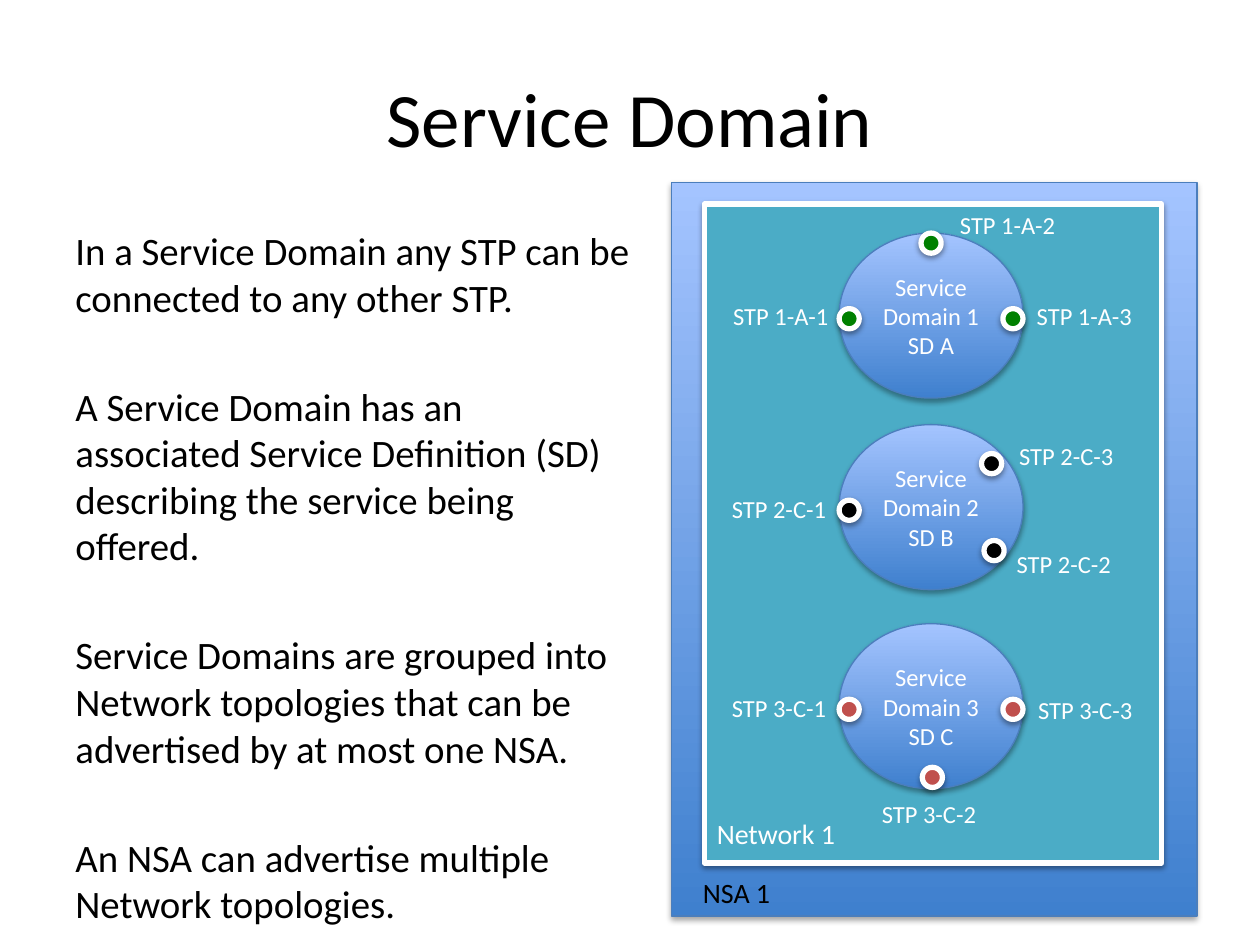
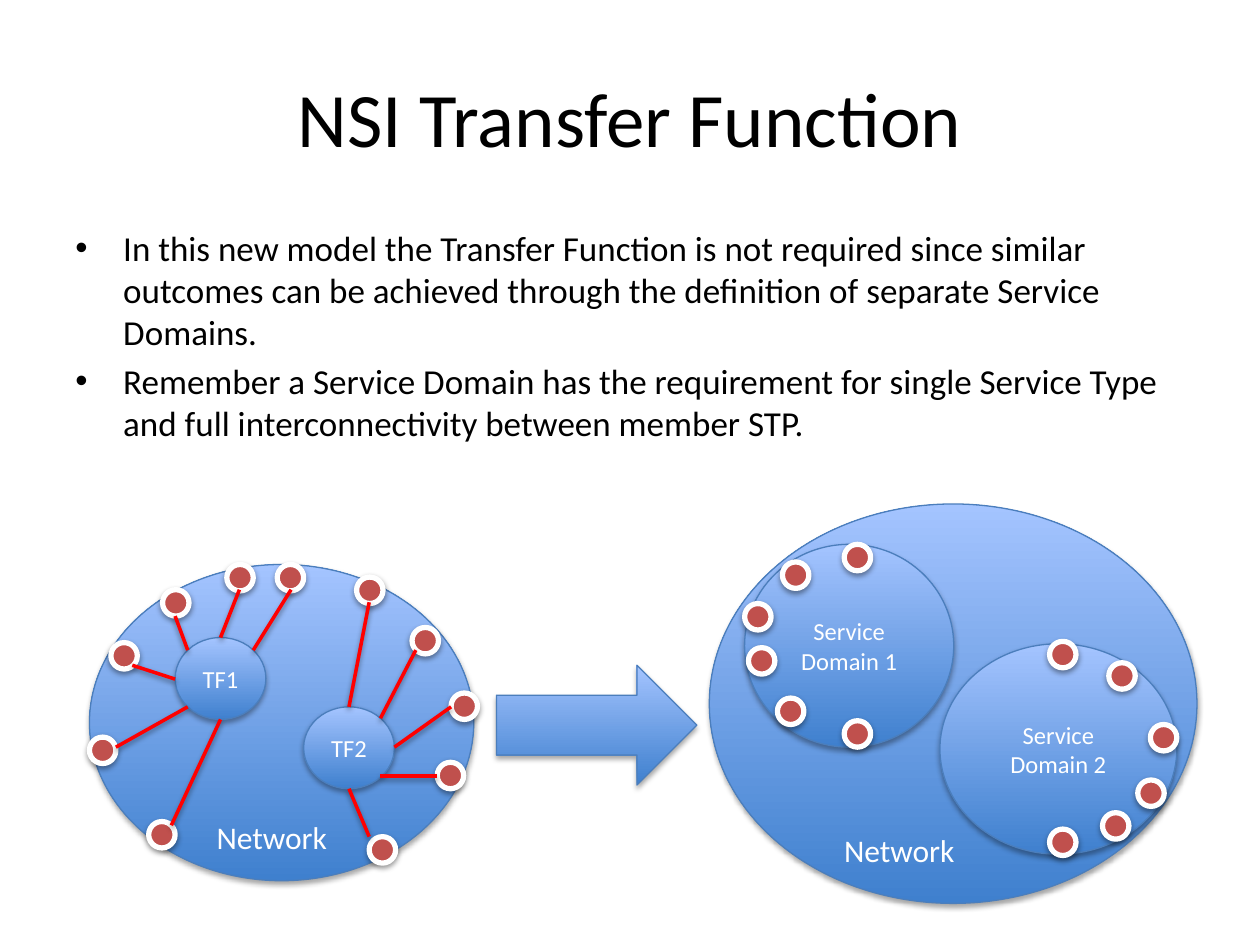
from dataclasses import dataclass

from lxml.etree import SubElement
from pptx import Presentation
from pptx.dml.color import RGBColor as Color
from pptx.enum.shapes import MSO_CONNECTOR as Connector, MSO_SHAPE as Shape
from pptx.enum.text import MSO_ANCHOR as Anchor, PP_ALIGN as Align
from pptx.oxml.ns import qn
from pptx.util import Inches, Pt


@dataclass(frozen=True)
class Theme:
    """Colours, type sizes and line widths shared by the slides."""
    font: str = "Calibri"
    black: Color = Color.from_string("000000")
    white: Color = Color.from_string("FFFFFF")
    deep_blue: Color = Color.from_string("3F80CE")
    light_blue: Color = Color.from_string("A4C4FF")
    outline: Color = Color.from_string("4B7EBC")
    teal: Color = Color.from_string("4BACC6")
    green: Color = Color.from_string("008000")
    brick: Color = Color.from_string("C0504D")
    red: Color = Color.from_string("FF0000")
    title: float = 44
    statement: float = 22.2
    bullet: float = 20
    network: float = 18
    caption: float = 16
    label: float = 14
    thin: float = 0.75
    link: float = 2
    thick: float = 3


def apply(target, **values):
    """Set every given attribute on the target."""
    for name, value in values.items():
        setattr(target, name, value)


class Deck:
    """Draws themed elements on the current slide, on a grid of 100 columns by 75 rows."""

    def __init__(self, theme):
        self.theme = theme
        self.presentation = Presentation()
        apply(self.presentation, slide_width=Inches(10), slide_height=Inches(7.5))
        self.column = self.presentation.slide_width / 100
        self.row = self.presentation.slide_height / 75
        self.slide = None

    def place(self, *lengths):
        """Turn alternating columns and rows into slide lengths."""
        return [round(length * (self.row if index % 2 else self.column))
                for index, length in enumerate(lengths)]

    def fill_text(self, frame, texts, size, color, align=Align.LEFT, gap=0, indent=None):
        """Fill a text frame with paragraphs, bulleted when an indent is given."""
        for index, text in enumerate(texts):
            paragraph = frame.paragraphs[0] if index == 0 else frame.add_paragraph()
            apply(paragraph, alignment=align, space_before=Pt(gap if index else 0))
            if indent:
                properties = paragraph._p.get_or_add_pPr()
                properties.set("marL", str(Inches(indent)))
                properties.set("indent", str(-Inches(indent)))
                SubElement(properties, qn("a:buFont")).set("typeface", "Arial")
                SubElement(properties, qn("a:buChar")).set("char", "•")
            run = paragraph.add_run()
            run.text = text
            apply(run.font, name=self.theme.font, size=Pt(size))
            run.font.color.rgb = color

    def cast_shadow(self, shape, opacity, distance):
        """Give a shape or connector a soft shadow below it."""
        effects = SubElement(shape.element.spPr, qn("a:effectLst"))
        shadow = SubElement(effects, qn("a:outerShdw"), blurRad=str(Pt(3.1)),
                            dist=str(Pt(distance)), dir="5400000", rotWithShape="0")
        color = SubElement(shadow, qn("a:srgbClr"), val=str(self.theme.black))
        SubElement(color, qn("a:alpha"), val=str(opacity * 1000))

    def outline(self, shape, color, width):
        """Set the line colour and width."""
        shape.line.color.rgb = color
        shape.line.width = Pt(width)

    def new_slide(self, title):
        """Start a slide with a centred title."""
        self.slide = self.presentation.slides.add_slide(self.presentation.slide_layouts[5])
        holder = self.slide.shapes.title
        left, top, width, height = self.place(5, 3, 90, 12.5)
        apply(holder, left=left, top=top, width=width, height=height)
        holder.text_frame.vertical_anchor = Anchor.MIDDLE
        self.fill_text(holder.text_frame, [title], self.theme.title, self.theme.black,
                       Align.CENTER)

    def text(self, box, texts, size, color, wrap=True, **layout):
        """Add a text box."""
        frame = self.slide.shapes.add_textbox(*self.place(*box)).text_frame
        frame.word_wrap = wrap
        self.fill_text(frame, texts, size, color, **layout)

    def glossy(self, kind, box, *texts):
        """Add a blue gradient shape with centred text."""
        shape = self.slide.shapes.add_shape(kind, *self.place(*box))
        shape.fill.gradient()
        shape.fill.gradient_angle = 90
        for stop, color in zip(shape.fill.gradient_stops,
                               (self.theme.deep_blue, self.theme.light_blue)):
            stop.color.rgb = color
        self.outline(shape, self.theme.outline, self.theme.thin)
        self.cast_shadow(shape, 35, 1.8)
        apply(shape.text_frame, word_wrap=True, vertical_anchor=Anchor.MIDDLE)
        self.fill_text(shape.text_frame, texts, self.theme.label, self.theme.white, Align.CENTER)

    def framed(self, kind, box, color):
        """Add a solid shape with a thick white outline."""
        shape = self.slide.shapes.add_shape(kind, *self.place(*box))
        shape.fill.solid()
        shape.fill.fore_color.rgb = color
        self.outline(shape, self.theme.white, self.theme.thick)
        self.cast_shadow(shape, 38, 1.6)

    def ports(self, corners, size, color):
        """Add one round port at each left and top."""
        for left, top in corners:
            self.framed(Shape.OVAL, (left, top, size, size), color)

    def link(self, *ends):
        """Add a red line between two grid points."""
        line = self.slide.shapes.add_connector(Connector.STRAIGHT, *self.place(*ends))
        self.outline(line, self.theme.red, self.theme.link)
        self.cast_shadow(line, 38, 1.6)


def draw_service_domain(deck):
    """Draw the service domains of one network."""
    theme = deck.theme
    deck.new_slide("Service Domain")
    deck.text((5, 17.5, 46.5, 51.1), [
        "In a Service Domain any STP can be connected to any other STP.",
        "A Service Domain has an associated Service Definition (SD) describing "
        "the service being offered.",
        "Service Domains are grouped into Network topologies that can be advertised "
        "by at most one NSA.",
        "An NSA can advertise multiple Network topologies.",
    ], theme.statement, theme.black, gap=35.6)
    deck.glossy(Shape.RECTANGLE, (53.3, 14.5, 41.7, 58.2))
    deck.framed(Shape.RECTANGLE, (55.9, 16.2, 36.3, 52.3), theme.teal)
    deck.text((55.9, 64.3, 11.8, 3.7), ["Network 1"], theme.caption, theme.white)
    deck.text((54.8, 69, 11.8, 3.7), ["NSA 1"], theme.caption, theme.black)

    domain_left = 66.6
    domains = [
        (18.5, "SD A", "A", theme.green, [(0, 6), (6.5, 0), (13, 6)],
         [(-9.4, 4.9), (8.6, -2.3), (14.7, 4.9)]),
        (33.7, "SD B", "C", theme.black, [(0, 6), (11.5, 9.2), (11.3, 2.3)],
         [(-9.5, 5), (13.1, 9.4), (13.3, 0.8)]),
        (49.5, "SD C", "C", theme.brick, [(0, 6), (6.6, 11.4), (13, 6)],
         [(-9.5, 5), (2.4, 13.4), (14.8, 5.2)]),
    ]
    for number, (top, definition, letter, color, ports, labels) in enumerate(domains, 1):
        deck.glossy(Shape.OVAL, (domain_left, top, 14.6, 13.1),
                    f"Service Domain {number}", definition)
        deck.ports([(domain_left + x, top + y) for x, y in ports], 1.6, color)
        for port, (x, y) in enumerate(labels, 1):
            deck.text((domain_left + x, top + y, 10, 3.4),
                      [f"STP {number}-{letter}-{port}"], theme.label, theme.white)


def draw_transfer_function(deck):
    """Draw transfer functions turning into service domains."""
    theme = deck.theme
    deck.new_slide("NSI Transfer Function")
    deck.text((5, 17.5, 90, 19.7), [
        "In this new model the Transfer Function is not required since similar outcomes "
        "can be achieved through the definition of separate Service Domains.",
        "Remember a Service Domain has the requirement for single Service Type and full "
        "interconnectivity between member STP.",
    ], theme.bullet, theme.black, gap=4, indent=0.38)

    deck.glossy(Shape.OVAL, (56.3, 40, 38.7, 31.7))
    deck.glossy(Shape.OVAL, (7.1, 44.8, 30.5, 25.1))
    for name, left, top in (("TF1", 13.9, 50.6), ("TF2", 24.1, 56.1)):
        deck.glossy(Shape.OVAL, (left, top, 7.2, 6.5), name)
    deck.ports([(22, 44.8), (8.8, 51), (12.9, 46.8), (18, 44.8), (7.1, 58.5), (29.3, 66.4),
                (34.7, 60.5), (11.8, 65.2), (32.7, 49.8), (35.8, 55), (28.3, 45.8)],
               2.1, theme.brick)
    links = [
        (19, 46.8, 17.5, 50.6), (23.1, 46.8, 20.1, 51.6), (13.9, 48.9, 14.9, 51.6),
        (10.5, 52.8, 13.9, 53.9), (9.2, 59.3, 14.9, 56.1), (13.6, 65.5, 17.5, 57.1),
        (29.3, 66.4, 27.7, 62.6), (27.7, 56.1, 29.3, 47.8), (30.2, 57, 33, 51.6),
        (31.3, 59.3, 35.8, 56.1), (30.2, 61.6, 34.7, 61.6),
    ]
    for ends in links:
        deck.link(*ends)

    deck.glossy(Shape.RIGHT_ARROW, (39.4, 52.8, 15.9, 9.5))
    deck.glossy(Shape.OVAL, (59.1, 43.2, 16.6, 16.1), "Service Domain 1")
    deck.glossy(Shape.OVAL, (74.6, 51.1, 18.8, 16.7), "Service Domain 2")
    deck.ports([(67, 43.2), (59.1, 47.9), (61.7, 55.4), (67, 57.2), (62.1, 44.6), (59.4, 51.4),
                (83.3, 50.9), (91.3, 57.5), (87.5, 64.5), (83.3, 65.8), (88, 52.6), (90.3, 61.9)],
               2.1, theme.brick)
    for left, top in ((16.2, 64.4), (66, 65.5)):
        deck.text((left, top, 10.9, 4), ["Network"], theme.network, theme.white, wrap=False)


def main():
    """Build and save the presentation."""
    deck = Deck(Theme())
    draw_service_domain(deck)
    draw_transfer_function(deck)
    deck.presentation.save("out.pptx")


if __name__ == "__main__":
    main()
